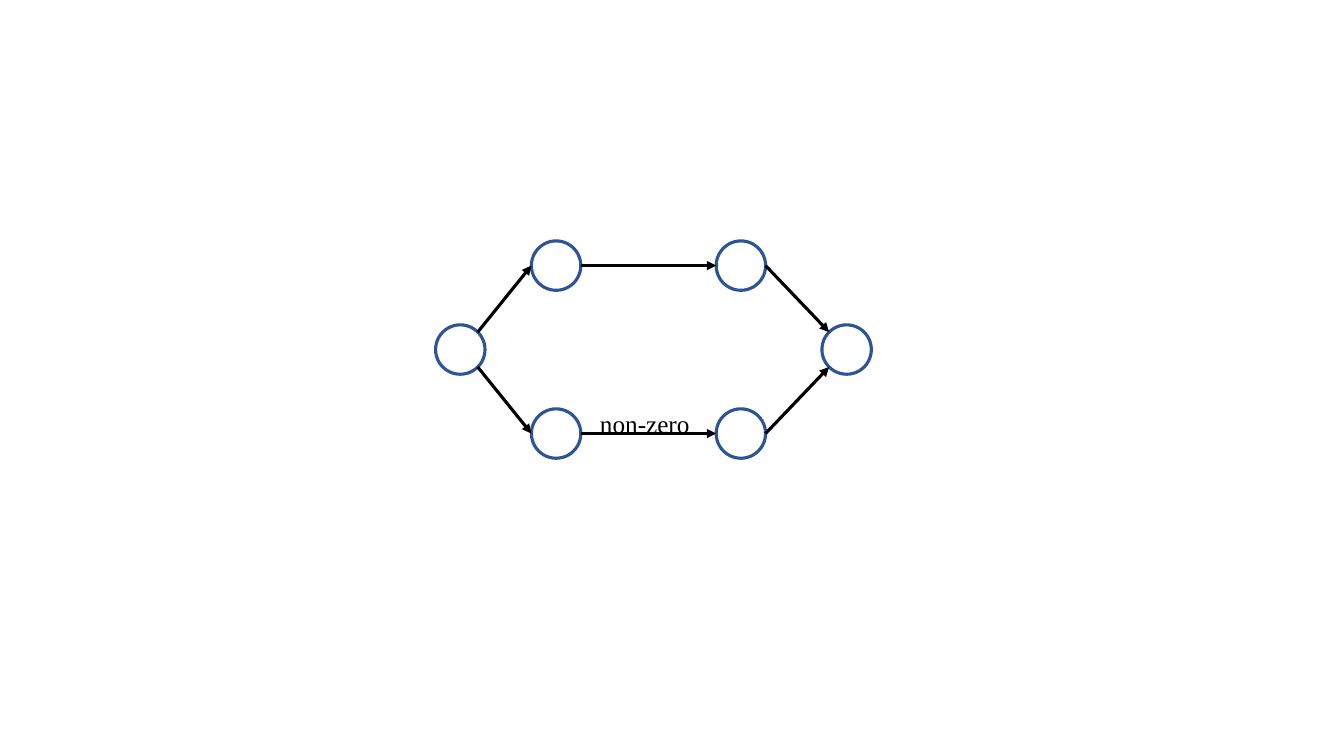
from math import cos, radians, sin

from lxml.etree import SubElement
from pptx import Presentation
from pptx.dml.color import RGBColor
from pptx.enum.shapes import MSO_CONNECTOR, MSO_SHAPE
from pptx.enum.text import MSO_ANCHOR, PP_ALIGN
from pptx.oxml.ns import qn
from pptx.util import Inches, Pt

THEME = {
    "fill": RGBColor.from_string("FFFFFF"),
    "ring": RGBColor.from_string("2D5496"),
    "ink": RGBColor.from_string("000000"),
    "line": Pt(2.25),
    "text": {"name": "Times New Roman", "size": Pt(18)},
}
COLS = (0, 1.94, 5.68, 7.82)
ROWS = (0, 1.7, 3.4)
NODES = {
    "start": (0, 1),
    "up left": (1, 0),
    "up right": (2, 0),
    "end": (3, 1),
    "low left": (1, 2),
    "low right": (2, 2),
}
EDGES = (
    ("up left", 0, "up right", 180),
    ("start", -45, "up left", 180),
    ("low left", 0, "low right", 180),
    ("up right", 0, "end", 225),
    ("start", 45, "low left", 180),
    ("low right", 0, "end", 135),
)


def style(item, values):
    """Set each attribute of an item from a dict."""
    for key, value in values.items():
        setattr(item, key, value)


def add_node(slide, left, top, size):
    """Draw one ring-shaped node."""
    node = slide.shapes.add_shape(MSO_SHAPE.OVAL, left, top, size, size)
    node.shadow.inherit = False
    node.fill.solid()
    node.fill.fore_color.rgb = THEME["fill"]
    node.line.color.rgb = THEME["ring"]
    node.line.width = THEME["line"]
    return node


def rim(node, angle):
    """Return the point on a node's rim, clockwise from the right."""
    half = node.width / 2
    turn = radians(angle)
    return (
        int(node.left + half + half * cos(turn)),
        int(node.top + half + half * sin(turn)),
    )


def add_edge(slide, tail, tip):
    """Draw one arrow between two points."""
    edge = slide.shapes.add_connector(MSO_CONNECTOR.STRAIGHT, *tail, *tip)
    edge.line.color.rgb = THEME["ink"]
    edge.line.width = THEME["line"]
    SubElement(edge.line._get_or_add_ln(), qn("a:tailEnd"), type="triangle")
    SubElement(edge._element.spPr, qn("a:effectLst"))


def add_label(slide, text, left, top, width, height):
    """Write a centred label."""
    frame = slide.shapes.add_textbox(left, top, width, height).text_frame
    style(frame, {"word_wrap": True, "vertical_anchor": MSO_ANCHOR.TOP})
    para = frame.paragraphs[0]
    style(para, {"text": text, "alignment": PP_ALIGN.CENTER})
    style(para.font, THEME["text"])
    para.font.color.rgb = THEME["ink"]


def add_graph(slide, left, top, unit):
    """Place the graph on a grid whose unit is one node's width."""
    nodes = {
        name: add_node(
            slide, int(left + COLS[col] * unit), int(top + ROWS[row] * unit), unit
        )
        for name, (col, row) in NODES.items()
    }
    for first, out, last, into in EDGES:
        add_edge(slide, rim(nodes[first], out), rim(nodes[last], into))
    add_label(
        slide,
        "non-zero",
        int(left + 2.98 * unit),
        int(top + 3.29 * unit),
        int(2.51 * unit),
        int(0.82 * unit),
    )


def main():
    """Build and save the slide."""
    deck = Presentation()
    style(deck, {"slide_width": Inches(13.33), "slide_height": Inches(7.5)})
    slide = deck.slides.add_slide(deck.slide_layouts[6])
    add_graph(slide, Inches(4.32), Inches(2.39), Inches(0.49))
    deck.save("out.pptx")


if __name__ == "__main__":
    main()
